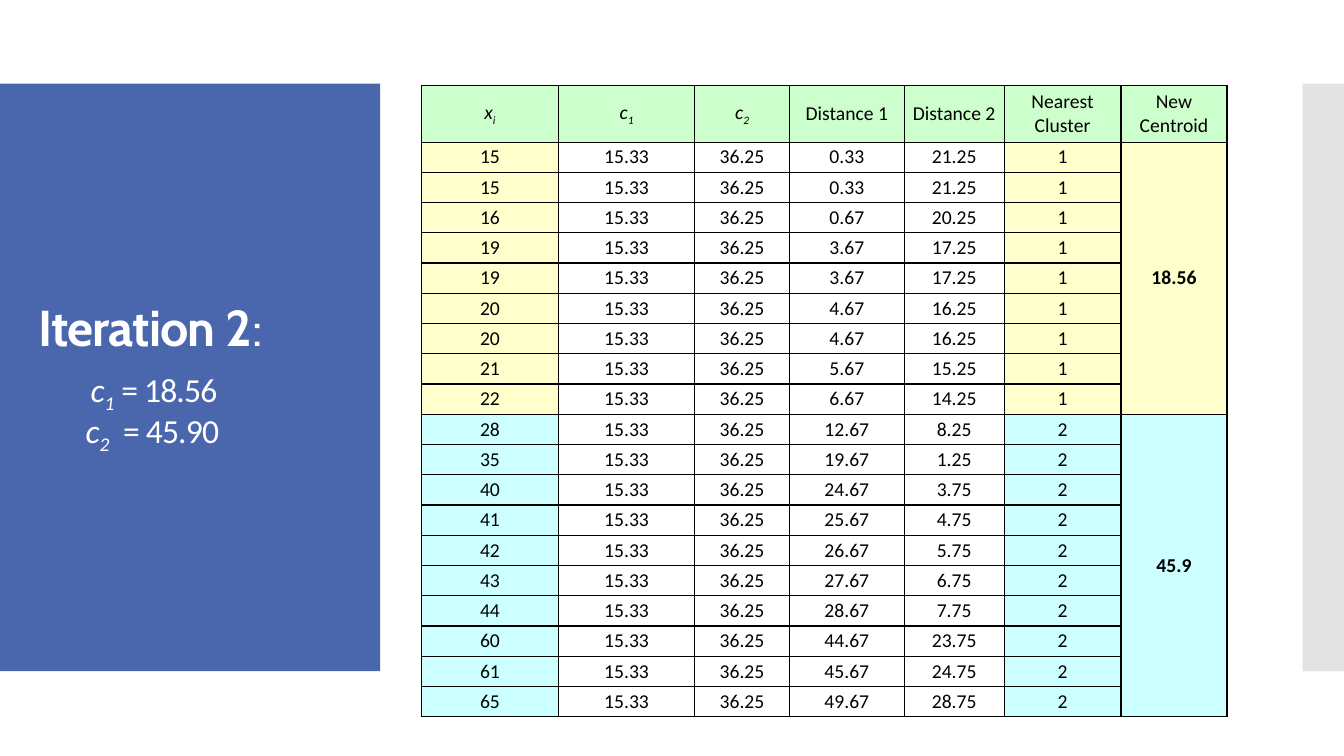
import pptx
import pptx.dml.color
import pptx.enum.shapes
import pptx.enum.text
import pptx.oxml
import pptx.oxml.ns
import pptx.util
from pptx.util import Inches

COLORS = {"blue": "4A66AC", "gray": "C8C8C8", "white": "FFFFFF", "black": "000000",
          "green": "CCFFCC", "yellow": "FFFFCC", "cyan": "CCFFFF"}
HEADS = [[("x", "i"), ("i", "is")], [("c", "i"), ("1", "is")], [("c", "i"), ("2", "is")],
         [("Distance 1", "")], [("Distance 2", "")], [("Nearest Cluster", "")],
         [("New Centroid", "")]]
WIDTHS = [1.36, 1.35, 0.94, 1.14, 0.99, 1.16, 1.05]
MEANS = [15.33, 36.25]
GROUPS = [("1", "18.56", "yellow", [15, 15, 16, 19, 19, 20, 20, 21, 22]),
          ("2", "45.9", "cyan", [28, 35, 40, 41, 42, 43, 44, 60, 61, 65])]


def rgb(name):
    """Return the named colour."""
    return pptx.dml.color.RGBColor.from_string(COLORS[name])


def write(para, parts, size, color, face="Calibri"):
    """Add runs to a paragraph; marks are b (bold), i (italic), s (subscript)."""
    for text, marks in parts:
        run = para.add_run()
        run.text = text
        font = run.font
        font.name, font.size = face, pptx.util.Pt(size)
        font.bold, font.italic = "b" in marks, "i" in marks
        font.color.rgb = rgb(color)
        if "s" in marks:
            run._r.get_or_add_rPr().set("baseline", "-25000")


def panel(slide, left, width, color, alpha=100):
    """Put a full-height side panel behind the title."""
    kind = pptx.enum.shapes.MSO_SHAPE.RECTANGLE
    box = slide.shapes.add_shape(kind, Inches(left), Inches(0.83), Inches(width), Inches(5.83))
    box.shadow.inherit = False
    box.line.fill.background()
    box.fill.solid()
    box.fill.fore_color.rgb = rgb(color)
    if alpha < 100:
        tint = box.element.spPr.find(".//" + pptx.oxml.ns.qn("a:srgbClr"))
        tint.append(pptx.oxml.parse_xml(
            f'<a:alpha {pptx.oxml.ns.nsdecls("a")} val="{alpha * 1000}"/>'))
    slide.shapes.title.element.addprevious(box.element)


def head(slide):
    """Fill the title with the iteration and its two centroids."""
    title = slide.shapes.title
    title.left, title.top = Inches(0.28), Inches(1.23)
    title.width, title.height = Inches(3.22), Inches(5.03)
    frame = title.text_frame
    frame.word_wrap = True
    frame.auto_size = pptx.enum.text.MSO_AUTO_SIZE.NONE
    frame.vertical_anchor = pptx.enum.text.MSO_ANCHOR.MIDDLE
    lines = [(36, "Cabin", 0, 0, [("Iteration 2", "b"), (":", "")]),
             (24, "Calibri", 0.52, 8, [("c", "i"), ("1", "is"), (" = 18.56", "")]),
             (24, "Calibri", 0.47, 0, [("c", "i"), ("2", "is"), ("  = 45.90", "")])]
    for num, (size, face, indent, gap, parts) in enumerate(lines):
        para = frame.add_paragraph() if num else frame.paragraphs[0]
        para.alignment = pptx.enum.text.PP_ALIGN.LEFT
        para.line_spacing = 0.9
        para.space_before = pptx.util.Pt(gap)
        para._p.get_or_add_pPr().set("marL", str(Inches(indent)))
        write(para, parts, size, "white", face)
        for run in para.runs:
            run._r.get_or_add_rPr().set("spc", "-60")


def edge(cell):
    """Draw a thin black line on each side of a cell."""
    props = cell._tc.get_or_add_tcPr()
    for side in "LRTB":
        props.append(pptx.oxml.parse_xml(
            f'<a:ln{side} {pptx.oxml.ns.nsdecls("a")} w="12700"><a:solidFill>'
            f'<a:srgbClr val="{COLORS["black"]}"/></a:solidFill></a:ln{side}>'))


def fill(cell, parts, color=None):
    """Format one table cell and write its text."""
    edge(cell)
    if color:
        cell.fill.solid()
        cell.fill.fore_color.rgb = rgb(color)
    else:
        cell.fill.background()
    cell.margin_left = cell.margin_right = Inches(0.07)
    cell.margin_top = cell.margin_bottom = Inches(0.03)
    cell.vertical_anchor = pptx.enum.text.MSO_ANCHOR.MIDDLE
    para = cell.text_frame.paragraphs[0]
    para.alignment = pptx.enum.text.PP_ALIGN.CENTER
    para.font.size = pptx.util.Pt(14)
    write(para, parts, 14, "black")


def grid(slide):
    """Build the table of distances, clusters and new centroids."""
    count = 1 + sum(len(group[3]) for group in GROUPS)
    table = slide.shapes.add_table(count, len(WIDTHS), Inches(4.18), Inches(0.85),
                                   Inches(sum(WIDTHS)), Inches(6.26)).table
    table.first_row = table.horz_banding = False
    for col, width in zip(table.columns, WIDTHS):
        col.width = Inches(width)
    for num, row in enumerate(table.rows):
        row.height = Inches(0.3 if num else 0.56)
    for col, parts in enumerate(HEADS):
        fill(table.cell(0, col), parts, "green")
    row = 1
    for label, mean, color, points in GROUPS:
        first = row
        for point in points:
            gaps = [abs(point - old) for old in MEANS]
            texts = [str(point), *(f"{val:.2f}" for val in MEANS + gaps), label]
            for col, text in enumerate(texts):
                fill(table.cell(row, col), [(text, "")], color if col in (0, 5) else None)
            fill(table.cell(row, 6), [(mean, "b")] if row == first else [], color)
            row += 1
        table.cell(first, 6).merge(table.cell(row - 1, 6))


def main():
    """Build and save the slide."""
    deck = pptx.Presentation()
    deck.slide_width, deck.slide_height = Inches(13.33), Inches(7.5)
    slide = deck.slides.add_slide(deck.slide_layouts.get_by_name("Title Only"))
    panel(slide, 0, 3.77, "blue")
    panel(slide, 12.92, 0.42, "gray", 50)
    head(slide)
    grid(slide)
    deck.save("out.pptx")


if __name__ == "__main__":
    main()
